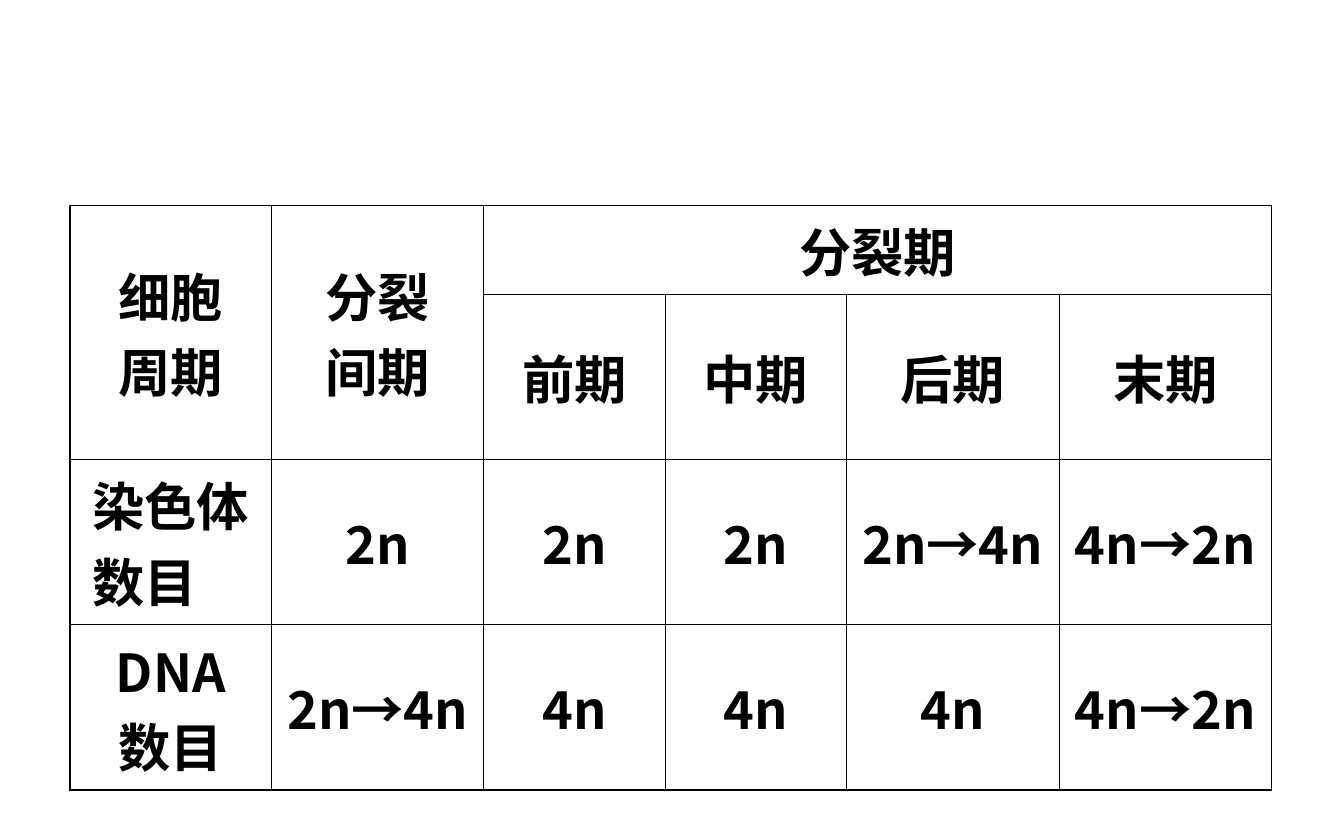
from typing import NamedTuple

from lxml.etree import SubElement
from pptx import Presentation
from pptx.dml.color import RGBColor
from pptx.enum.text import MSO_ANCHOR, PP_ALIGN
from pptx.oxml import parse_xml
from pptx.oxml.ns import nsdecls, qn
from pptx.util import Emu, Pt

EMU_PER_PX = 9144  # 100 px to the inch
COLORS = {"text": "000000", "border": "000000"}
FONT = "Noto Sans CJK SC"
INNER_LINE, OUTER_LINE = Pt(0.45), Pt(0.96)
TABLE_LEFT, TABLE_TOP = 52, 153
COLUMN_WIDTHS = [150, 158, 135, 135, 158, 158]
ROW_HEIGHTS = [66, 122, 123, 123]


class Entry(NamedTuple):
    row: int
    column: int
    text: str
    row_span: int = 1
    column_span: int = 1


HEADINGS = [
    Entry(0, 0, "细胞\n周期", row_span=2),
    Entry(0, 1, "分裂\n间期", row_span=2),
    Entry(0, 2, "分裂期", column_span=4),
    *(Entry(1, column, text) for column, text in enumerate(["前期", "中期", "后期", "末期"], 2)),
]
COUNTS = [
    ["染色体\n数目　", "2n", "2n", "2n", "2n→4n", "4n→2n"],
    ["DNA\n数目", "2n→4n", "4n", "4n", "4n", "4n→2n"],
]
ENTRIES = HEADINGS + [
    Entry(row, column, text)
    for row, texts in enumerate(COUNTS, 2)
    for column, text in enumerate(texts)
]


def px(length: int) -> Emu:
    return Emu(length * EMU_PER_PX)


def write_text(cell, text: str, *, size: int = 28, bold: bool = True,
               color: str = "text", align: PP_ALIGN = PP_ALIGN.CENTER) -> None:
    cell.vertical_anchor = MSO_ANCHOR.MIDDLE
    cell.text_frame.text = text
    for paragraph in cell.text_frame.paragraphs:
        paragraph.alignment = align
        for run in paragraph.runs:
            run.font.name = FONT
            run.font.size = Pt(size)
            run.font.bold = bold
            run.font.color.rgb = RGBColor.from_string(COLORS[color])
            east_asian = SubElement(run.font._element, qn("a:ea"))
            east_asian.set("typeface", FONT)


def draw_borders(cell, row: int, column: int) -> None:
    """Rule all four sides, with a heavier line along the table's edge."""
    on_edge = {
        "L": column == 0,
        "R": column == len(COLUMN_WIDTHS) - 1,
        "T": row == 0,
        "B": row == len(ROW_HEIGHTS) - 1,
    }
    properties = cell._tc.get_or_add_tcPr()
    for position, (side, outer) in enumerate(on_edge.items()):
        width = OUTER_LINE if outer else INNER_LINE
        properties.insert(position, parse_xml(
            f'<a:ln{side} {nsdecls("a")} w="{int(width)}"><a:solidFill>'
            f'<a:srgbClr val="{COLORS["border"]}"/></a:solidFill></a:ln{side}>'))


def add_cell_cycle_table(slide) -> None:
    table = slide.shapes.add_table(
        len(ROW_HEIGHTS), len(COLUMN_WIDTHS), px(TABLE_LEFT), px(TABLE_TOP),
        px(sum(COLUMN_WIDTHS)), px(sum(ROW_HEIGHTS))).table
    table.first_row = table.horz_banding = False
    for column, width in zip(table.columns, COLUMN_WIDTHS):
        column.width = px(width)
    for row, height in zip(table.rows, ROW_HEIGHTS):
        row.height = px(height)
    for row in range(len(ROW_HEIGHTS)):
        for column in range(len(COLUMN_WIDTHS)):
            cell = table.cell(row, column)
            cell.fill.background()
            draw_borders(cell, row, column)
    for entry in ENTRIES:
        cell = table.cell(entry.row, entry.column)
        if entry.row_span > 1 or entry.column_span > 1:
            cell.merge(table.cell(entry.row + entry.row_span - 1,
                                  entry.column + entry.column_span - 1))
        write_text(cell, entry.text)


def main() -> None:
    presentation = Presentation()
    presentation.slide_width, presentation.slide_height = px(1000), px(625)
    slide = presentation.slides.add_slide(presentation.slide_layouts[6])
    add_cell_cycle_table(slide)
    presentation.save("out.pptx")


if __name__ == "__main__":
    main()
